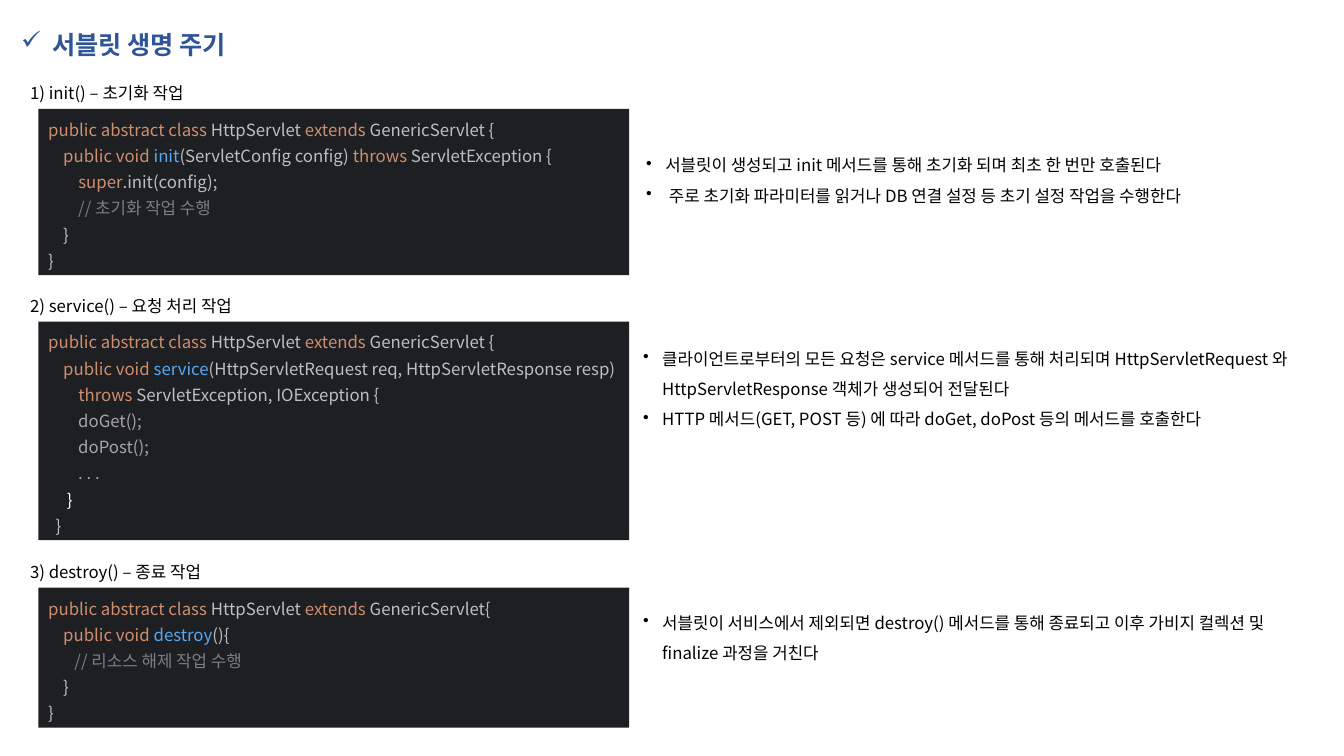
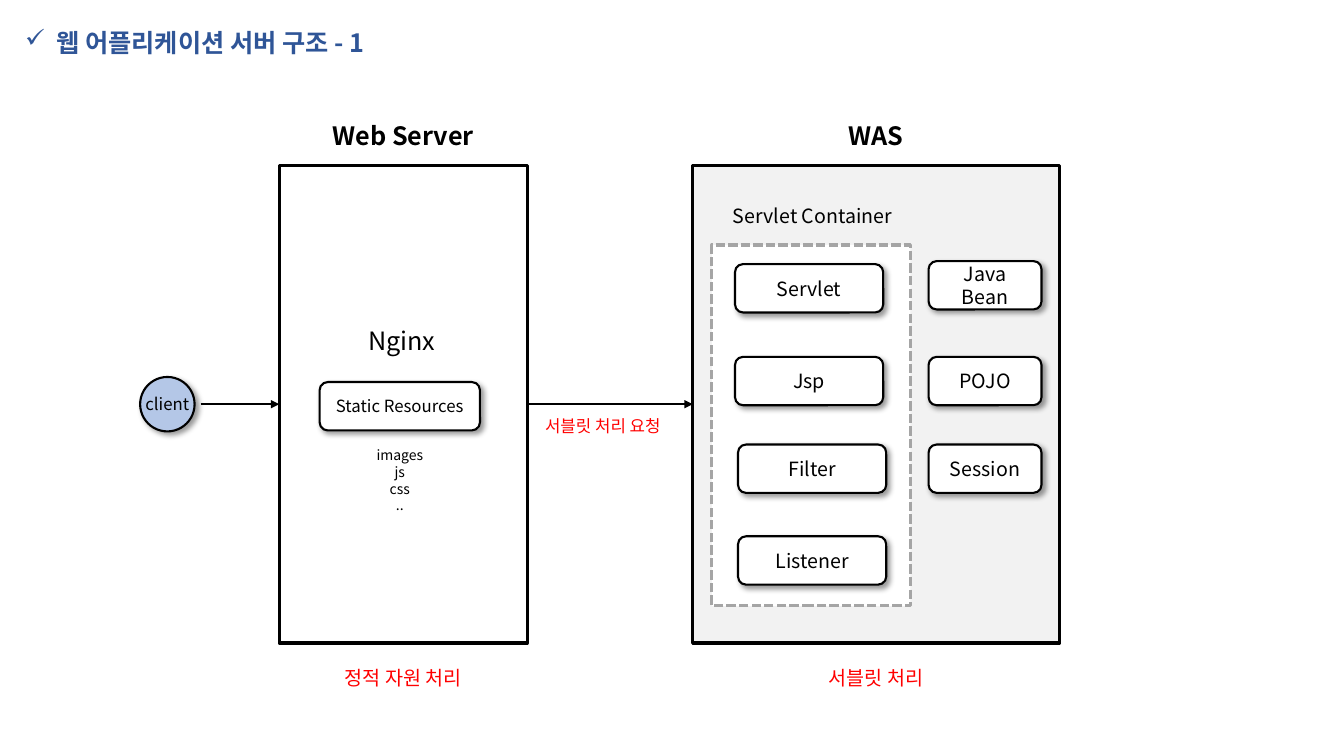
from dataclasses import dataclass

from lxml import etree
from pptx import Presentation
from pptx import util as u
from pptx.dml.color import RGBColor
from pptx.enum import dml, shapes, text
from pptx.oxml import parse_xml
from pptx.oxml.ns import qn

PX = 9144  # 100 px to the inch
NS = 'xmlns:a="http://schemas.openxmlformats.org/drawingml/2006/main"'


@dataclass(frozen=True)
class Theme:
    font: str = "Noto Sans CJK KR"
    title: str = "2F5597"
    ink: str = "000000"
    paper: str = "FFFFFF"
    panel: str = "F2F2F2"
    dash: str = "A5A5A5"
    client: str = "B4C7E7"
    accent: str = "FF0000"
    editor: str = "1E1F22"
    keyword: str = "CF8E6D"
    plain: str = "BCBEC4"
    method: str = "56A8F5"
    comment: str = "7A7E85"
    muted: str = "A6A6A6"
    large: int = 18
    medium: int = 14
    body: int = 12
    small: int = 10
    code_spacing: float = 1.3
    note_spacing: float = 1.5
    indent: int = 19
    title_indent: int = 31


T = Theme()
K, P, M, C, G, W = T.keyword, T.plain, T.method, T.comment, T.muted, T.paper


def class_line(brace):
    return [(K, "public abstract class "), (P, "HttpServlet "), (K, "extends "),
            (P, "GenericServlet" + brace)]


INIT_CODE = [
    class_line(" {"),
    [(P, "    "), (K, "public void "), (M, "init"), (P, "(ServletConfig config) "),
     (K, "throws "), (P, "ServletException {")],
    [(P, "        "), (K, "super"), (P, ".init(config);")],
    [(C, "        // 초기화 작업 수행")],
    [(P, "    }")],
    [(P, "}")],
]
SERVICE_CODE = [
    class_line(" {"),
    [(P, "    "), (K, "public void "), (M, "service"),
     (P, "(HttpServletRequest req, HttpServletResponse resp)")],
    [(P, "        "), (K, "throws "), (P, "ServletException, IOException {")],
    [(G, "        doGet();")],
    [(G, "        doPost();")],
    [(G, "        . . .")],
    [(W, "     }")],
    [(P, "  }")],
]
DESTROY_CODE = [
    class_line("{"),
    [(P, "    "), (K, "public void "), (M, "destroy"), (P, "(){")],
    [(C, "       // 리소스 해제 작업 수행")],
    [(P, "    }")],
    [(P, "}")],
]

# box, heading, code, offset of the notes in the box, notes
STEPS = [
    ((20, 77, 1301, 196), "1) init() – 초기화 작업", INIT_CODE, (611, 62),
     ["서블릿이 생성되고 init 메서드를 통해 초기화 되며 최초 한 번만 호출된다",
      " 주로 초기화 파라미터를 읽거나 DB 연결 설정 등 초기 설정 작업을 수행한다"]),
    ((20, 288, 1301, 248), "2) service() – 요청 처리 작업", SERVICE_CODE, (608, 43),
     ["클라이언트로부터의 모든 요청은 service 메서드를 통해 처리되며 "
      "HttpServletRequest 와 HttpServletResponse 객체가 생성되어 전달된다",
      "HTTP 메서드(GET, POST 등) 에 따라 doGet, doPost 등의 메서드를 호출한다"]),
    ((20, 552, 1301, 170), "3) destroy() – 종료 작업", DESTROY_CODE, (608, 41),
     ["서블릿이 서비스에서 제외되면 destroy() 메서드를 통해 종료되고 이후 "
      "가비지 컬렉션 및 finalize 과정을 거친다"]),
]

# left and top inside the application server, width, label
COMPONENTS = [
    (42, 98, 147, "Servlet"), (42, 190, 147, "Jsp"),
    (45, 277, 147, "Filter"), (45, 368, 147, "Listener"),
    (234, 95, 112, "Java Bean"), (234, 190, 112, "POJO"), (234, 277, 112, "Session"),
]


def emu(box):
    return [u.Emu(length * PX) for length in box]


def add_run(paragraph, words, size=T.body, color=T.ink, bold=False):
    run = paragraph.add_run()
    run.text = words
    run.font.name = T.font
    run.font.size = u.Pt(size)
    run.font.bold = bold
    run.font.color.rgb = RGBColor.from_string(color)
    etree.SubElement(run.font._element, qn("a:ea"), typeface=T.font)


def add_bullet(paragraph, char, indent):
    props = paragraph._p.get_or_add_pPr()
    props.set("marL", str(indent * PX))
    props.set("indent", str(-indent * PX))
    etree.SubElement(props, qn("a:buChar"), char=char)


def paragraphs(frame, count):
    """Yield the frame's first paragraph, then new ones."""
    yield frame.paragraphs[0]
    for _ in range(count - 1):
        yield frame.add_paragraph()


def add_label(slide, box, lines, size=T.body, color=T.ink, bold=False,
              align=text.PP_ALIGN.CENTER):
    frame = slide.shapes.add_textbox(*emu(box)).text_frame
    frame.word_wrap = True
    for paragraph, line in zip(paragraphs(frame, len(lines)), lines):
        paragraph.alignment = align
        add_run(paragraph, line, size, color, bold)


def add_block(slide, kind, box, fill, line=None, width=2.25):
    block = slide.shapes.add_shape(kind, *emu(box))
    block.shadow.inherit = False
    block.fill.solid()
    block.fill.fore_color.rgb = RGBColor.from_string(fill)
    if line:
        block.line.color.rgb = RGBColor.from_string(line)
        block.line.width = u.Pt(width)
    else:
        block.line.fill.background()
    return block


def add_node(slide, kind, box, fill, label, size):
    """Outlined shape with a soft shadow and a centred label."""
    node = add_block(slide, kind, box, fill, T.ink, 1.5)
    effects = node._element.spPr.find(qn("a:effectLst"))
    effects.append(parse_xml(
        f'<a:outerShdw {NS} blurRad="{u.Pt(4)}" dist="{u.Pt(3)}" dir="2700000" '
        f'algn="tl" rotWithShape="0"><a:srgbClr val="{T.ink}"><a:alpha val="40000"/>'
        '</a:srgbClr></a:outerShdw>'))
    frame = node.text_frame
    frame.word_wrap = True
    frame.vertical_anchor = text.MSO_ANCHOR.MIDDLE
    frame.paragraphs[0].alignment = text.PP_ALIGN.CENTER
    add_run(frame.paragraphs[0], label, size)
    return node


def add_arrow(slide, start, end):
    arrow = slide.shapes.add_connector(shapes.MSO_CONNECTOR.STRAIGHT, *emu(start + end))
    arrow.line.color.rgb = RGBColor.from_string(T.ink)
    arrow.line.width = u.Pt(1.5)
    etree.SubElement(arrow.line._get_or_add_ln(), qn("a:tailEnd"), type="triangle")
    etree.SubElement(arrow._element.spPr, qn("a:effectLst"))
    return arrow


def add_titled_slide(deck, words, left, top):
    slide = deck.slides.add_slide(deck.slide_layouts[5])
    title = slide.shapes.title
    title.left, title.top, title.width, title.height = emu((left, top, 900, 40))
    frame = title.text_frame
    frame.auto_size = text.MSO_AUTO_SIZE.NONE
    frame.word_wrap = True
    frame.vertical_anchor = text.MSO_ANCHOR.TOP
    heading = frame.paragraphs[0]
    heading.alignment = text.PP_ALIGN.LEFT
    add_bullet(heading, "✓", T.title_indent)
    add_run(heading, words, T.large, T.title, bold=True)
    return slide


def add_code(slide, left, top, lines):
    box = (left, top, 586, 9 + 26 * len(lines))
    editor = add_block(slide, shapes.MSO_SHAPE.RECTANGLE, box, T.editor)
    frame = editor.text_frame
    frame.word_wrap = True
    frame.vertical_anchor = text.MSO_ANCHOR.MIDDLE
    listing = frame.paragraphs[0]
    listing.alignment = text.PP_ALIGN.LEFT
    listing.line_spacing = T.code_spacing
    for number, line in enumerate(lines):
        if number:
            listing.add_line_break()
        for color, words in line:
            add_run(listing, words, color=color)


def add_notes_list(slide, box, notes):
    frame = slide.shapes.add_textbox(*emu(box)).text_frame
    frame.word_wrap = True
    for paragraph, note in zip(paragraphs(frame, len(notes)), notes):
        add_bullet(paragraph, "•", T.indent)
        paragraph.line_spacing = T.note_spacing
        add_run(paragraph, note)


def lifecycle_step(slide, box, heading, code, offset, notes):
    left, top, width, height = box
    dx, dy = offset
    add_label(slide, (left, top, 400, 30), [heading], align=text.PP_ALIGN.LEFT)
    add_code(slide, left + 18, top + 31, code)
    add_notes_list(slide, (left + dx, top + dy, width - 608, height - dy - 40), notes)


def lifecycle_slide(deck):
    slide = add_titled_slide(deck, "서블릿 생명 주기", 11, 24)
    for step in STEPS:
        lifecycle_step(slide, *step)


def server_frame(slide, box, fill, name, role):
    left, top, width, height = box
    server = add_block(slide, shapes.MSO_SHAPE.RECTANGLE, box, fill, T.ink)
    add_label(slide, (left, top - 50, width, 40), [name], T.large, bold=True)
    add_label(slide, (left, top + height + 18, width, 34), [role], T.medium, T.accent)
    return server


def web_server(slide, box):
    left, top, width, _ = box
    server = server_frame(slide, box, T.paper, "Web Server", "정적 자원 처리")
    add_label(slide, (left, top + 154, width - 3, 40), ["Nginx"], T.large)
    add_node(slide, shapes.MSO_SHAPE.ROUNDED_RECTANGLE, (left + 40, top + 215, 159, 48),
             T.paper, "Static Resources", T.body)
    add_label(slide, (left + 72, top + 274, 95, 77), ["images", "js", "css", ".."], T.small)
    return server


def application_server(slide, box):
    left, top, _, _ = box
    server = server_frame(slide, box, T.panel, "WAS", "서블릿 처리")
    add_label(slide, (left + 25, top + 33, 188, 34), ["Servlet Container"], T.medium)
    container = add_block(slide, shapes.MSO_SHAPE.RECTANGLE,
                          (left + 19, top + 79, 197, 358), T.paper, T.dash)
    container.line.dash_style = dml.MSO_LINE.SQUARE_DOT
    # SQUARE_DOT is written as sysDot; the border uses the longer system dash
    container.line._get_or_add_ln().find(qn("a:prstDash")).set("val", "sysDash")
    for dx, dy, width, label in COMPONENTS:
        add_node(slide, shapes.MSO_SHAPE.ROUNDED_RECTANGLE,
                 (left + dx, top + dy, width, 48), T.paper, label, T.medium)
    return server


def architecture_slide(deck):
    slide = add_titled_slide(deck, "웹 어플리케이션 서버 구조 - 1", 15, 22)
    application = application_server(slide, (687, 164, 364, 474))
    web = web_server(slide, (277, 164, 246, 474))
    client = add_node(slide, shapes.MSO_SHAPE.OVAL, (139, 374, 54, 54),
                      T.client, "client", T.body)
    client.text_frame.word_wrap = False
    client.text_frame.margin_left = client.text_frame.margin_right = 0
    add_arrow(slide, (199, 401), (277, 401)).end_connect(web, 1)
    request = add_arrow(slide, (523, 401), (687, 401))
    request.begin_connect(web, 3)
    request.end_connect(application, 1)
    add_label(slide, (510, 408, 176, 30), ["서블릿 처리 요청"], color=T.accent)


def main():
    deck = Presentation()
    deck.slide_width, deck.slide_height = emu((1333, 750))
    lifecycle_slide(deck)
    architecture_slide(deck)
    deck.save("out.pptx")


if __name__ == "__main__":
    main()
